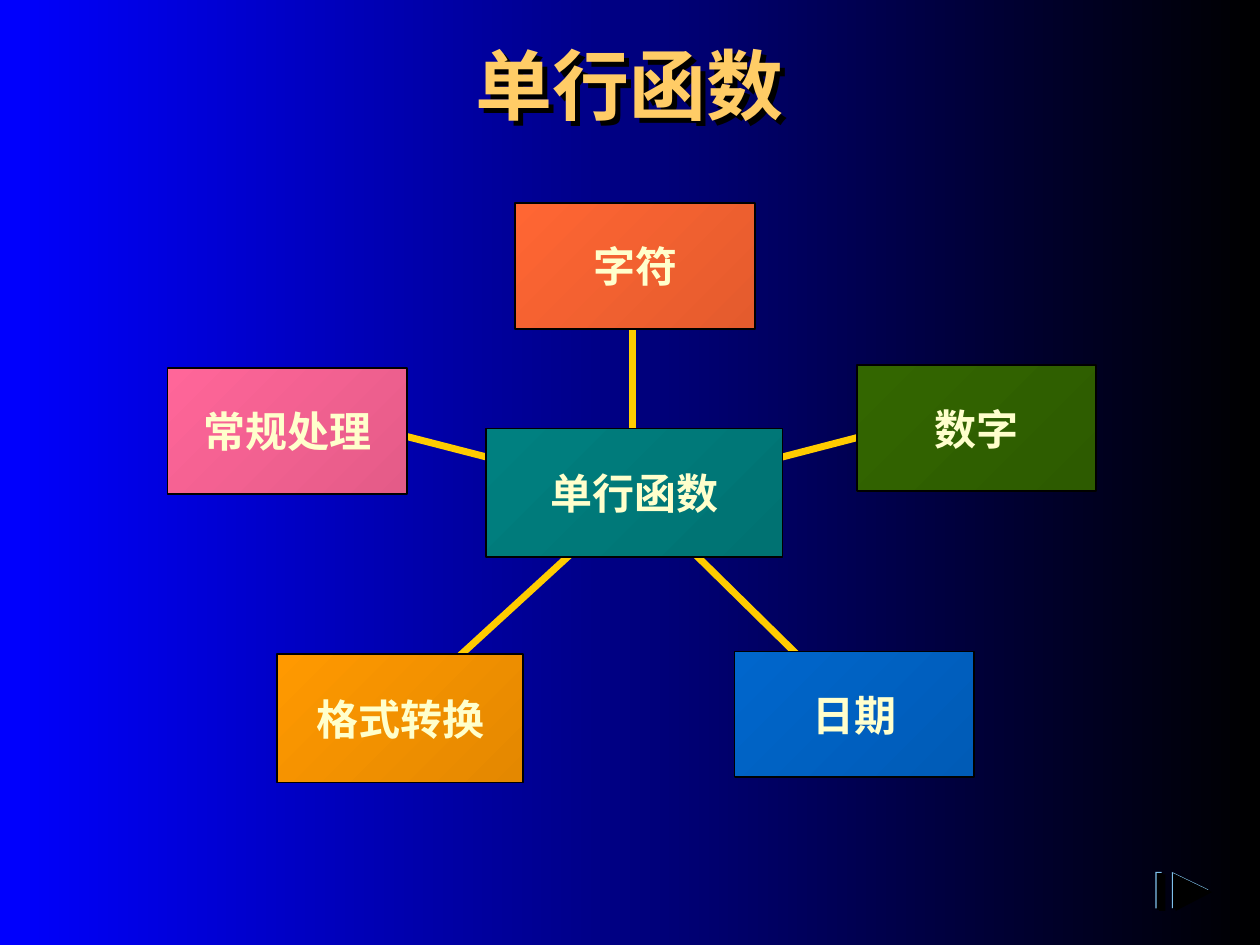
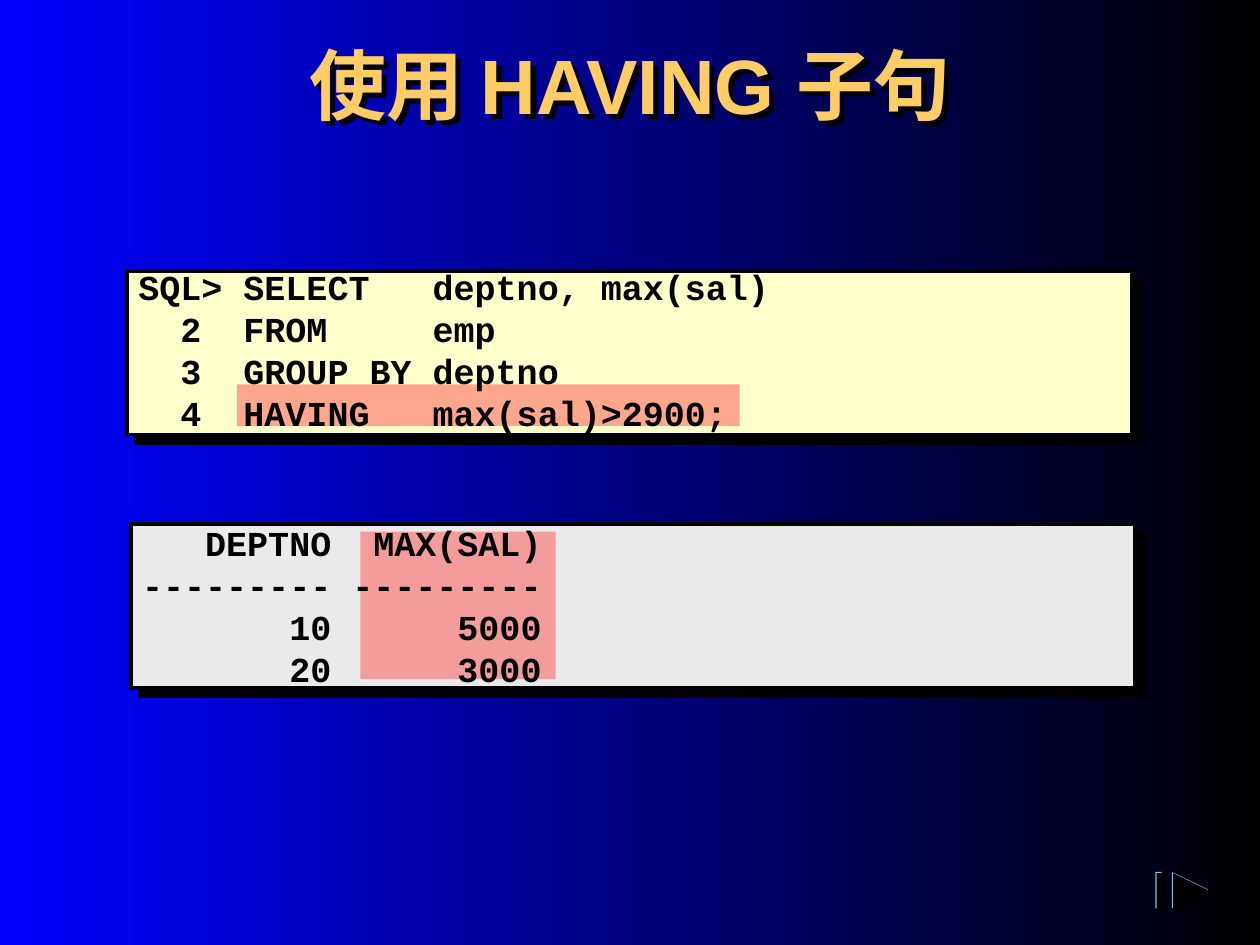
from lxml.etree import SubElement
from pptx import Presentation
from pptx.dml.color import RGBColor
from pptx.enum.shapes import MSO_CONNECTOR, MSO_SHAPE
from pptx.enum.text import MSO_ANCHOR, PP_ALIGN
from pptx.oxml.ns import qn
from pptx.util import Inches, Pt

COLORS = {
    "black": "000000",
    "blue": "0000FF",
    "title": "FFCC66",
    "spoke": "FFCC00",
    "label": "FFFFCC",
    "code": "FFFFCC",
    "result": "EAEAEA",
    "highlight": "FF5050",
    "nav": "7FC1EB",
}

HUB_CENTER = (5.04, 3.93)
HUB = ("单行函数", 3.86, 3.4, 2.35, 1.02, "007272", "008080")

# Text, left, top, width, height, dark and light colour
TOPICS = [
    ("格式转换", 2.2, 5.19, 1.95, 1.02, "E48800", "FF9900"),
    ("字符", 4.09, 1.61, 1.9, 1, "E45B2D", "FF6633"),
    ("数字", 6.8, 2.9, 1.9, 1, "2D5B00", "336600"),
    ("日期", 5.83, 5.17, 1.9, 1, "005BB6", "0066CC"),
    ("常规处理", 1.33, 2.92, 1.9, 1, "E45B88", "FF6699"),
]
SPOKE_ENDS = [(2.9, 3.38), (7.24, 3.36), (3.13, 5.68), (6.87, 5.73)]

QUERY = """SQL> SELECT   deptno, max(sal)
  2  FROM     emp
  3  GROUP BY deptno
  4  HAVING   max(sal)>2900;"""

RESULT = """   DEPTNO  MAX(SAL)
--------- ---------
       10      5000
       20      3000"""


def rgb(value):
    return RGBColor.from_string(value)


def fill_gradient(fill, start, end, angle):
    fill.gradient()
    fill.gradient_angle = angle
    for stop, color in zip(fill.gradient_stops, (start, end)):
        stop.color.rgb = rgb(color)


def format_text(frame, size, color, font="Arial", align=None, spacing=None):
    for paragraph in frame.paragraphs:
        paragraph.alignment = align
        paragraph.line_spacing = spacing
        for run in paragraph.runs:
            run.font.name = font
            run.font.size = Pt(size)
            run.font.bold = True
            run.font.color.rgb = rgb(color)


def add_shadow(shape, distance):
    shape.shadow.inherit = False
    effects = shape._element.spPr.find(qn("a:effectLst"))
    shadow = SubElement(effects, qn("a:outerShdw"), dist=str(Pt(distance)),
                        dir="2700000", algn="ctr", rotWithShape="0")
    SubElement(shadow, qn("a:srgbClr"), val=COLORS["black"])


def add_rect(shapes, left, top, width, height, color=None, line_width=None):
    rect = shapes.add_shape(MSO_SHAPE.RECTANGLE, Inches(left), Inches(top),
                            Inches(width), Inches(height))
    rect.shadow.inherit = False
    if color:
        rect.fill.solid()
        rect.fill.fore_color.rgb = rgb(color)
    if line_width:
        rect.line.color.rgb = rgb(COLORS["black"])
        rect.line.width = Pt(line_width)
    else:
        rect.line.fill.background()
    return rect


def add_title(slide, text):
    title = slide.shapes.add_textbox(Inches(0.75), Inches(0.25),
                                     Inches(8.5), Inches(1.25))
    title.text_frame.word_wrap = True
    title.text_frame.text = text
    format_text(title.text_frame, 44, COLORS["title"], align=PP_ALIGN.CENTER)
    add_shadow(title, 4.2)


def add_next_mark(slide):
    """Embossed bar and triangle in the lower right corner."""
    mark = slide.shapes.add_group_shape().shapes
    layers = [(0.03, 0.02, "black"), (0, 0, "nav"), (0.01, 0.01, "black")]
    for dx, dy, color in layers:
        add_rect(mark, 9.17 + dx, 6.92 + dy, 0.05, 0.29, COLORS[color])
    for dx, dy, color in layers:
        left, top = 9.3 + dx, 6.92 + dy
        builder = mark.build_freeform(Inches(left + 0.29), Inches(top + 0.14))
        builder.add_line_segments([(Inches(left), Inches(top)),
                                   (Inches(left), Inches(top + 0.29))])
        triangle = builder.convert_to_shape()
        triangle.shadow.inherit = False
        triangle.fill.solid()
        triangle.fill.fore_color.rgb = rgb(COLORS[color])
        triangle.line.fill.background()


def new_slide(deck, title):
    slide = deck.slides.add_slide(deck.slide_layouts[6])
    fill_gradient(slide.background.fill, COLORS["black"], COLORS["blue"], 180)
    add_title(slide, title)
    add_next_mark(slide)
    return slide


def add_spoke(slide, start, end):
    spoke = slide.shapes.add_connector(MSO_CONNECTOR.STRAIGHT,
                                       *map(Inches, start + end))
    spoke.line.color.rgb = rgb(COLORS["spoke"])
    spoke.line.width = Pt(4)
    SubElement(spoke._element.spPr, qn("a:effectLst"))


def add_topic(slide, text, left, top, width, height, dark, light):
    topic = add_rect(slide.shapes, left, top, width, height, line_width=1)
    fill_gradient(topic.fill, dark, light, 135)
    frame = topic.text_frame
    frame.word_wrap = False
    frame.vertical_anchor = MSO_ANCHOR.MIDDLE
    frame.text = text
    format_text(frame, 24, COLORS["label"], align=PP_ALIGN.CENTER)


def add_panel(slide, left, top, color):
    panel = add_rect(slide.shapes, left, top, 7.97, 1.3, color, line_width=2)
    add_shadow(panel, 7.1)


def add_highlight(slide, left, top, width, height):
    highlight = add_rect(slide.shapes, left, top, width, height,
                         COLORS["highlight"])
    color = highlight._element.spPr.find(qn("a:solidFill"))[0]
    SubElement(color, qn("a:alpha"), val="50000")


def add_code(slide, left, top, text):
    code = slide.shapes.add_textbox(Inches(left), Inches(top),
                                    Inches(8), Inches(1.33))
    frame = code.text_frame
    frame.word_wrap = True
    frame.vertical_anchor = MSO_ANCHOR.TOP
    # Four 24 pt lines take the full height of the box
    frame.margin_top = frame.margin_bottom = 0
    frame.text = text
    format_text(frame, 20, COLORS["black"], "Courier New", spacing=Pt(24))


def build_functions(deck):
    slide = new_slide(deck, "单行函数")
    add_spoke(slide, (5.02, 3.93), (5.02, 2.38))
    for end in SPOKE_ENDS:
        add_spoke(slide, HUB_CENTER, end)
    for topic in TOPICS + [HUB]:
        add_topic(slide, *topic)


def build_having(deck):
    slide = new_slide(deck, "使用 HAVING 子句")
    # Panels, then highlights, then the text on top
    add_panel(slide, 1.01, 2.15, COLORS["code"])
    add_panel(slide, 1.04, 4.16, COLORS["result"])
    add_highlight(slide, 1.88, 3.05, 3.99, 0.33)
    add_highlight(slide, 2.86, 4.22, 1.55, 1.17)
    add_code(slide, 1, 2.11, QUERY)
    add_code(slide, 1.03, 4.14, RESULT)


def main():
    deck = Presentation()
    deck.slide_width, deck.slide_height = Inches(10), Inches(7.5)
    build_functions(deck)
    build_having(deck)
    deck.save("out.pptx")


if __name__ == "__main__":
    main()
